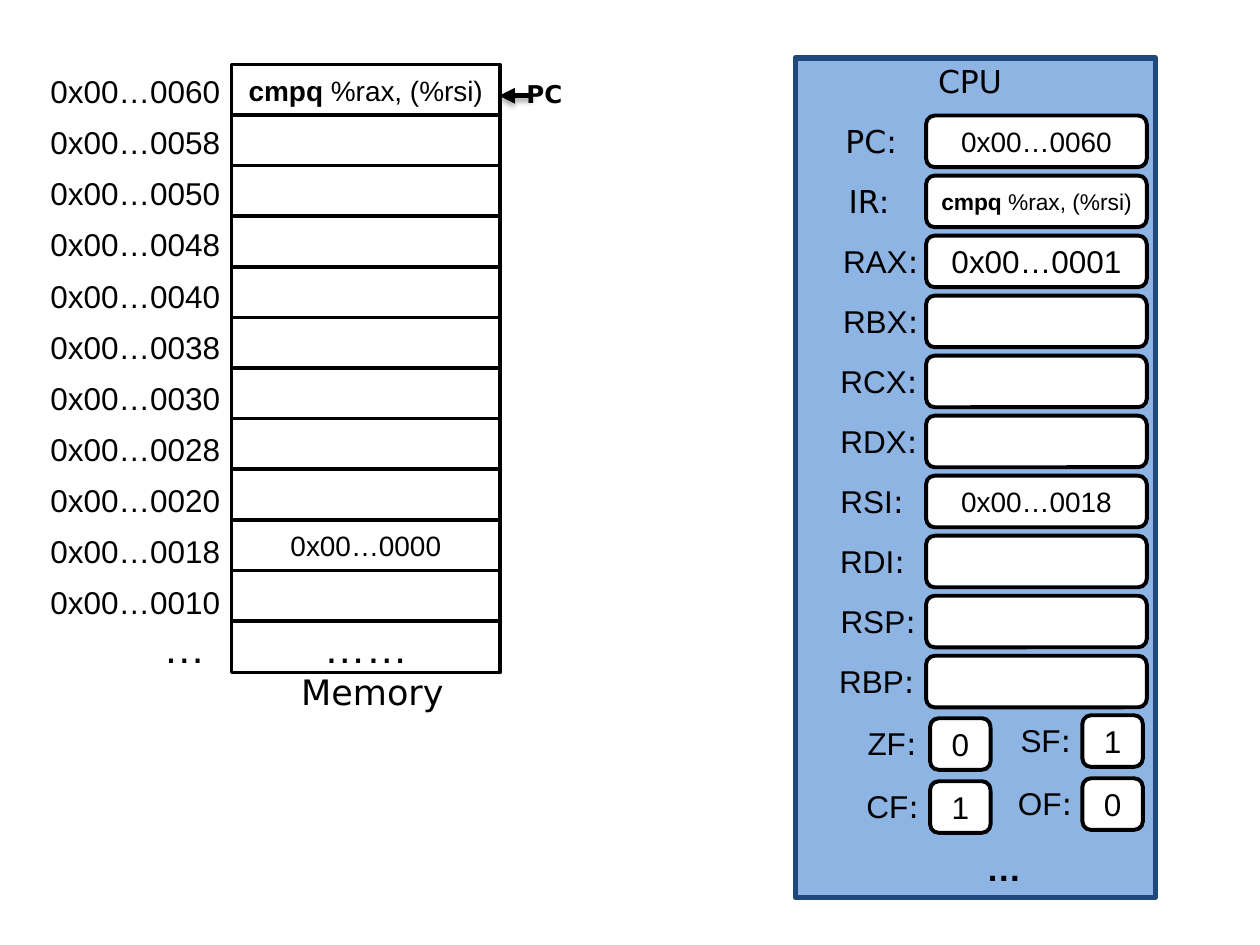
from lxml.etree import SubElement
from pptx import Presentation
from pptx.dml.color import RGBColor
from pptx.enum.shapes import MSO_CONNECTOR, MSO_SHAPE
from pptx.enum.text import MSO_ANCHOR, MSO_AUTO_SIZE, PP_ALIGN
from pptx.oxml import parse_xml
from pptx.oxml.ns import nsdecls, qn
from pptx.util import Cm, Pt

# Content: text is a list of runs (words, format)
B = {"bold": True}
CODE = [("cmpq ", B), ("%rax, (%rsi)", {})]
ADDRS = ["0x00…0060", "0x00…0058", "0x00…0050", "0x00…0048", "0x00…0040", "0x00…0038",
         "0x00…0030", "0x00…0028", "0x00…0020", "0x00…0018", "0x00…0010", "…"]
CELLS = {0: (CODE, "cell"), 9: ([("0x00…0000", {})], "cell"), 11: ([("……", {})], "dots")}
# Name, label left and width in cm, value, value size
REGS = [
    ("PC", 16.74, 1.65, [("0x00…0060", {})], "cell"),
    ("IR", 16.76, 1.52, CODE, "code"),
    ("RAX", 16.69, 2.13, [("0x00…0001", {})], "text"),
    ("RBX", 16.69, 2.13, [], "text"),
    ("RCX", 16.64, 2.16, [], "text"),
    ("RDX", 16.64, 2.16, [], "text"),
    ("RSI", 16.64, 1.88, [("0x00…0018", {})], "cell"),
    ("RDI", 16.64, 1.9, [], "text"),
    ("RSP", 16.64, 2.13, [], "text"),
    ("RBP", 16.61, 2.13, [], "text"),
]
# Rows of flags: name, value, label left and width in cm
FLAGS = [
    [("ZF", "0", 17.2, 1.57), ("SF", "1", 20.27, 1.63)],
    [("CF", "1", 17.17, 1.65), ("OF", "0", 20.22, 1.7)],
]

THEME = {
    "sans": "Arial", "wide": "DejaVu Sans",
    "ink": RGBColor(0, 0, 0), "paper": RGBColor(255, 255, 255),
    "panel": RGBColor(0x8E, 0xB4, 0xE3), "edge": RGBColor(0x1F, 0x49, 0x7D),
    "code": 13, "mark": 14, "cell": 16, "text": 18, "head": 20, "dots": 24,
}
LEFT, MID, RIGHT = PP_ALIGN.LEFT, PP_ALIGN.CENTER, PP_ALIGN.RIGHT
WIDE = {"name": THEME["wide"]}
HIGH = 1.04  # height of a cell or register


def apply(obj, vals):
    for key, val in vals.items():
        setattr(obj, key, val)


def write(frame, runs, size, align):
    para = frame.paragraphs[0]
    para.alignment = align
    for words, form in runs:
        run = para.add_run()
        run.text = words
        apply(run.font, {"name": THEME["sans"], "size": Pt(THEME[size]), "bold": False, **form})
        run.font.color.rgb = THEME["ink"]


def label(slide, box, runs, size="text", align=MID):
    frame = slide.shapes.add_textbox(*map(Cm, box)).text_frame
    apply(frame, {"word_wrap": False, "auto_size": MSO_AUTO_SIZE.SHAPE_TO_FIT_TEXT})
    write(frame, runs, size, align)


def block(slide, kind, box, runs=(), size="text", fill="paper", line="ink", width=2):
    shape = slide.shapes.add_shape(kind, *map(Cm, box))
    shape.shadow.inherit = False
    shape.fill.solid()
    shape.fill.fore_color.rgb = THEME[fill]
    shape.line.color.rgb = THEME[line]
    shape.line.width = Pt(width)
    frame = shape.text_frame
    apply(frame, {"word_wrap": True, "vertical_anchor": MSO_ANCHOR.MIDDLE,
                  "margin_left": 0, "margin_right": 0})
    write(frame, runs, size, MID)


def register(slide, left, top, width, runs, size="text"):
    block(slide, MSO_SHAPE.ROUNDED_RECTANGLE, (left, top, width, HIGH), runs, size, width=2.25)


def pointer(slide):
    arrow = slide.shapes.add_connector(
        MSO_CONNECTOR.STRAIGHT, Cm(10.74), Cm(1.93), Cm(10.06), Cm(1.93))
    arrow.line.color.rgb = THEME["ink"]
    arrow.line.width = Pt(3)
    SubElement(arrow.line._get_or_add_ln(), qn("a:tailEnd"), type="triangle")
    arrow._element.spPr.append(parse_xml(
        f'<a:effectLst {nsdecls("a")}><a:outerShdw blurRad="39400" dist="22900" dir="5400000" '
        'rotWithShape="0"><a:srgbClr val="000000"><a:alpha val="35000"/></a:srgbClr>'
        '</a:outerShdw></a:effectLst>'))
    label(slide, (10.36, 1.47, 1.24, 0.86), [("PC", {**B, **WIDE})], "mark", LEFT)


def memory(slide):
    for row, addr in enumerate(ADDRS):
        runs, size = CELLS.get(row, ([], "cell"))
        block(slide, MSO_SHAPE.RECTANGLE, (4.67, 1.3 + 1.02 * row, 5.41, HIGH), runs, size)
        if addr == "…":
            box, size = (3.02, 12.4, 1.37, 1.27), "dots"
        else:
            box, size = (0.73, 1.33 + 1.03 * row, 3.96, 1.02), "text"
        label(slide, box, [(addr, {})], size, RIGHT)
    label(slide, (5.82, 13.39, 3.38, 1.12), [("Memory", WIDE)], "head", LEFT)
    pointer(slide)


def cpu(slide):
    block(slide, MSO_SHAPE.RECTANGLE, (16.03, 1.17, 7.26, 16.92),
          fill="panel", line="edge", width=3)
    label(slide, (18.64, 1.12, 1.83, 1.02), [("CPU", WIDE)])
    # Registers
    for row, (name, left, wide, runs, size) in enumerate(REGS):
        top = 2.33 + 1.21 * row
        register(slide, 18.67, top, 4.45, runs, size)
        face = WIDE if len(name) == 2 else {}
        label(slide, (left, top, wide, 1.02), [(name, face), (":", WIDE)])
    # Flags
    for row, pair in enumerate(FLAGS):
        for col, (name, val, left, wide) in enumerate(pair):
            top = 14.48 + 1.27 * row - 0.06 * col
            register(slide, 18.75 + 3.07 * col, top, 1.22, [(val, {})])
            label(slide, (left, top, wide, 1.02), [(name, {}), (":", WIDE)])
    label(slide, (19.63, 16.94, 1.22, 1.12), [("…", B)], "head")


def main():
    deck = Presentation()
    apply(deck, {"slide_width": Cm(25.4), "slide_height": Cm(19.05)})
    slide = deck.slides.add_slide(deck.slide_layouts[6])
    memory(slide)
    cpu(slide)
    deck.save("out.pptx")


if __name__ == "__main__":
    main()
